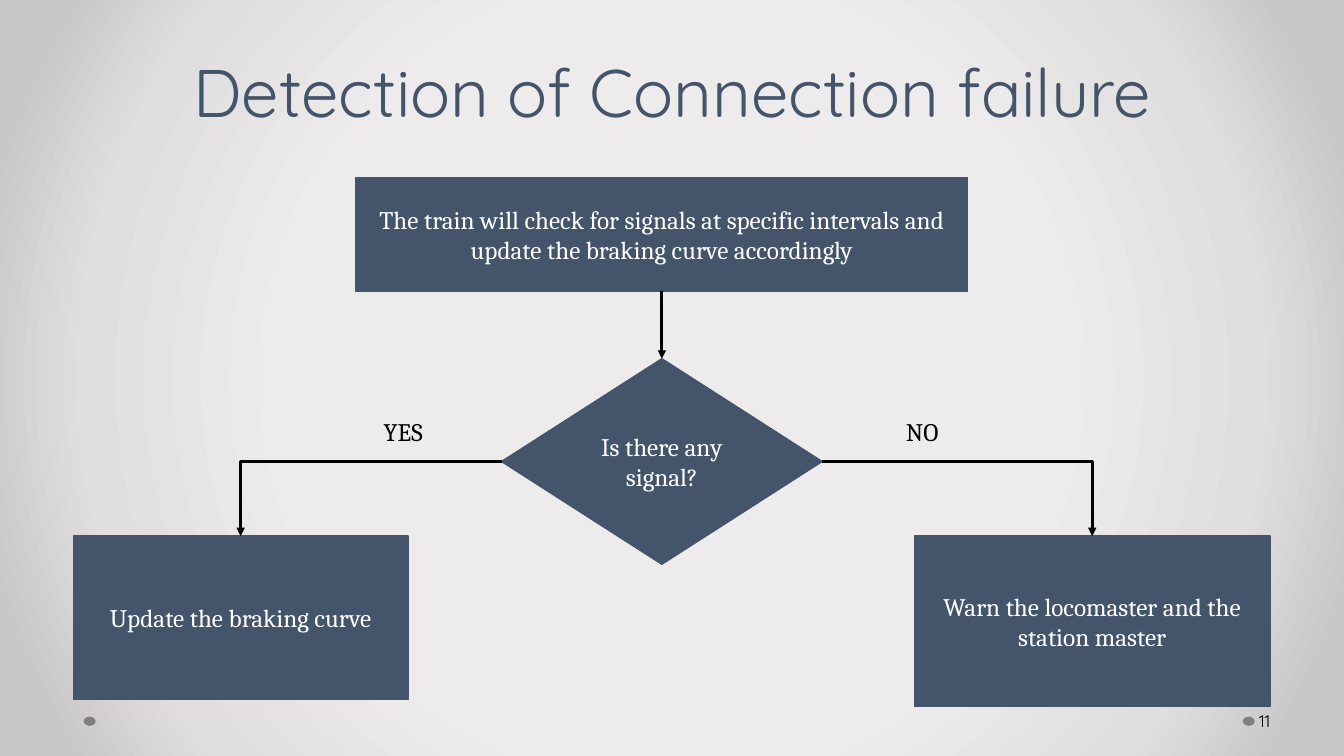
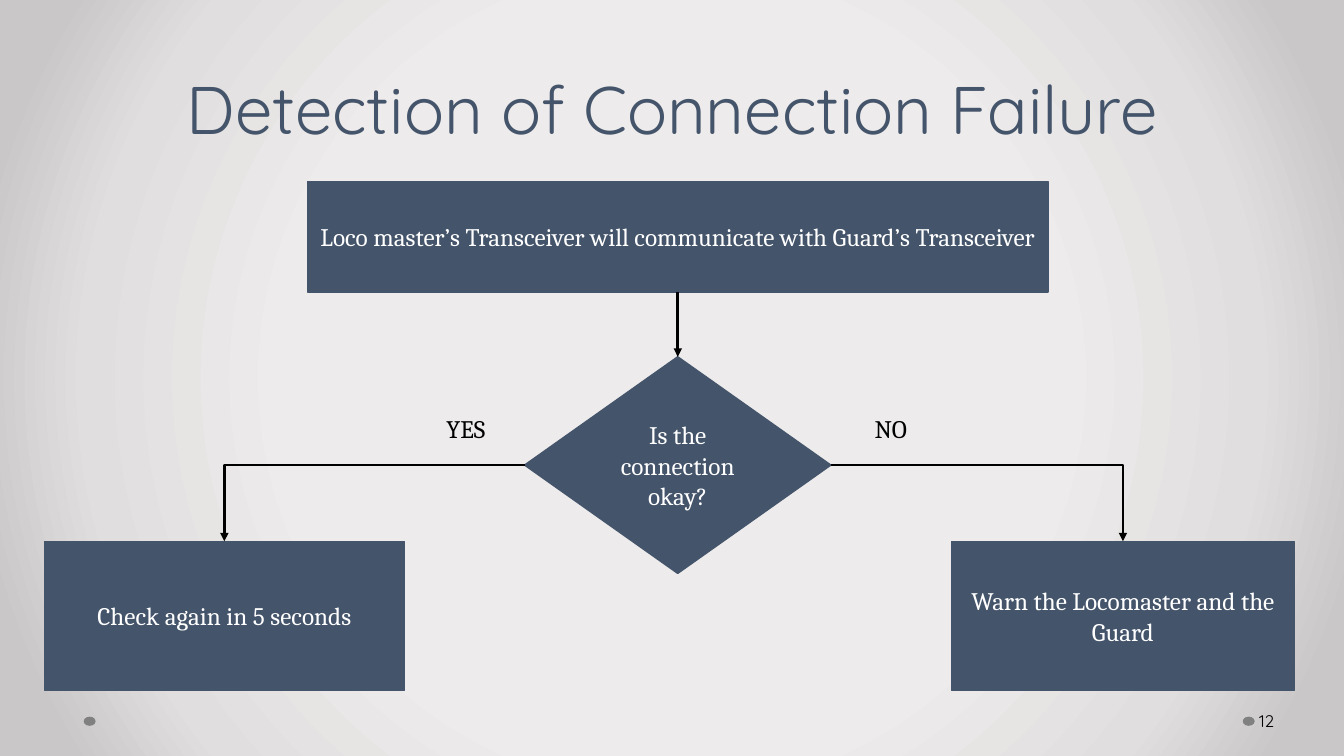
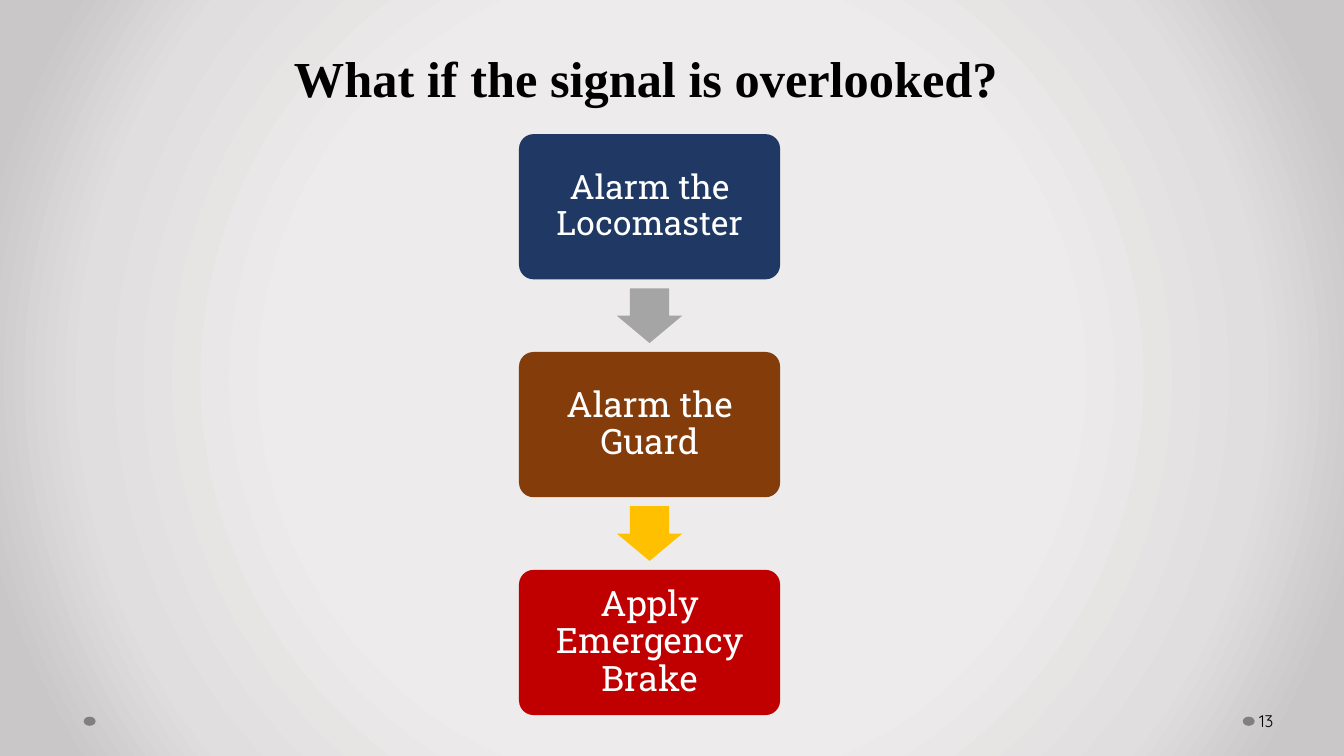
from dataclasses import dataclass
from typing import Any

import lxml.etree
import pptx
import pptx.dml.color
import pptx.enum.shapes
import pptx.enum.text
import pptx.oxml.ns
import pptx.util

Cm = pptx.util.Cm
Pt = pptx.util.Pt
RGBColor = pptx.dml.color.RGBColor
Shape = pptx.enum.shapes.MSO_SHAPE
Connector = pptx.enum.shapes.MSO_CONNECTOR
Anchor = pptx.enum.text.MSO_ANCHOR
Align = pptx.enum.text.PP_ALIGN
qn = pptx.oxml.ns.qn

SLATE = RGBColor(0x44, 0x54, 0x6A)
WHITE = RGBColor(0xFF, 0xFF, 0xFF)
BLACK = RGBColor(0x00, 0x00, 0x00)
DOT_GREY = RGBColor(0x80, 0x80, 0x80)
NAVY = RGBColor(0x20, 0x38, 0x64)
BROWN = RGBColor(0x84, 0x3C, 0x0B)
RED = RGBColor(0xC0, 0x00, 0x00)
ARROW_GREY = RGBColor(0xA5, 0xA5, 0xA5)
AMBER = RGBColor(0xFF, 0xC0, 0x00)
BACKGROUND_STOPS = (
    (50, RGBColor(0xED, 0xEB, 0xEB)),
    (76, RGBColor(0xE0, 0xDE, 0xDE)),
    (92, RGBColor(0xC9, 0xC7, 0xC7)),
)

HEADING_FONT = "Quicksand"
FLOW_FONT = "Cambria"
TOP, LEFT, BOTTOM, RIGHT = range(4)


@dataclass(frozen=True)
class Box:
    """A place on the slide, in centimetres."""

    left: float
    top: float
    width: float
    height: float

    def lengths(self) -> tuple[Any, ...]:
        return tuple(Cm(v) for v in (self.left, self.top, self.width, self.height))


@dataclass(frozen=True)
class TextStyle:
    font: str
    size: float
    color: RGBColor
    bold: bool = False
    align: Any = Align.LEFT
    line_spacing: Any = None


@dataclass(frozen=True)
class Item:
    text: str
    box: Box


@dataclass(frozen=True)
class Decision:
    title: str
    title_height: float
    number: int
    start: Item
    question: Item
    yes: Item
    no: Item
    yes_label: Box
    no_label: Box


@dataclass(frozen=True)
class Alarm:
    text: str
    size: float
    color: RGBColor


TITLE = TextStyle(HEADING_FONT, 48, SLATE, align=Align.CENTER, line_spacing=Pt(48))
PAGE_NUMBER = TextStyle(HEADING_FONT, 12, BLACK)
STEP = TextStyle(FLOW_FONT, 18, WHITE, align=Align.CENTER)
LABEL = TextStyle(FLOW_FONT, 18, BLACK)
QUESTION_TITLE = TextStyle("Times New Roman", 36, BLACK, bold=True)

DECISIONS = (
    Decision(
        "Detection of Connection failure", 3.43, 11,
        start=Item("The train will check for signals at specific intervals "
                   "and update the braking curve accordingly",
                   Box(8.97, 4.47, 15.42, 2.87)),
        question=Item("Is there any signal?", Box(12.64, 9.04, 8.08, 5.18)),
        yes=Item("Update the braking curve", Box(1.85, 13.51, 8.43, 4.11)),
        no=Item("Warn the locomaster and the station master",
                Box(23.04, 13.51, 8.97, 4.29)),
        yes_label=Box(9.42, 10.36, 2.13, 1.02),
        no_label=Box(22.58, 10.36, 2.36, 1.02),
    ),
    Decision(
        "Detection of Connection Failure", 3.86, 12,
        start=Item("Loco master’s Transceiver will communicate with Guard’s Transceiver",
                   Box(7.75, 4.57, 18.66, 2.79)),
        question=Item("Is the connection okay?", Box(13.22, 8.99, 7.72, 5.46)),
        yes=Item("Check again in 5 seconds", Box(1.12, 13.64, 9.07, 3.76)),
        no=Item("Warn the Locomaster and the Guard", Box(23.98, 13.64, 8.64, 3.76)),
        yes_label=Box(11, 10.29, 2.36, 1.02),
        no_label=Box(21.79, 10.29, 1.93, 1.02),
    ),
)

ALARMS = (
    Alarm("Alarm the Locomaster", 24, NAVY),
    Alarm("Alarm the Guard", 25, BROWN),
    Alarm("Apply Emergency Brake", 25, RED),
)
ALARM_ARROWS = (ARROW_GREY, AMBER)
FIRST_ALARM = Box(13.08, 3.38, 6.58, 3.66)
ALARM_PITCH = 5.49
ARROW_WIDTH, ARROW_HEIGHT = 1.65, 1.38


def set_background(master: Any) -> None:
    """Give the master a circular gradient, which every slide inherits."""
    master.background.fill.gradient()
    gradient = master.element.find(".//" + qn("a:gradFill"))
    for child in list(gradient):
        gradient.remove(child)
    stops = lxml.etree.SubElement(gradient, qn("a:gsLst"))
    for percent, color in BACKGROUND_STOPS:
        stop = lxml.etree.SubElement(stops, qn("a:gs"), pos=str(percent * 1000))
        lxml.etree.SubElement(stop, qn("a:srgbClr"), val=str(color))
    circle = lxml.etree.SubElement(gradient, qn("a:path"), path="circle")
    lxml.etree.SubElement(circle, qn("a:fillToRect"),
                          {side: "50000" for side in "ltrb"})


def write_text(shape: Any, text: str, style: TextStyle, anchor: Any) -> None:
    frame = shape.text_frame
    frame.word_wrap = True
    frame.vertical_anchor = anchor
    paragraph = frame.paragraphs[0]
    paragraph.text = text
    paragraph.alignment = style.align
    paragraph.line_spacing = style.line_spacing
    font = paragraph.font
    font.name = style.font
    font.size = Pt(style.size)
    font.bold = style.bold
    font.color.rgb = style.color


def add_text(slide: Any, text: str, box: Box, style: TextStyle,
             anchor: Any = Anchor.TOP) -> Any:
    text_box = slide.shapes.add_textbox(*box.lengths())
    write_text(text_box, text, style, anchor)
    return text_box


def add_filled(slide: Any, preset: Any, box: Box, color: RGBColor) -> Any:
    """Add a preset shape with a plain fill, no outline and no shadow."""
    shape = slide.shapes.add_shape(preset, *box.lengths())
    shape.shadow.inherit = False
    shape.fill.solid()
    shape.fill.fore_color.rgb = color
    shape.line.fill.background()
    return shape


def add_step(slide: Any, preset: Any, item: Item) -> Any:
    step = add_filled(slide, preset, item.box, SLATE)
    step.line.color.rgb = SLATE
    step.line.width = Pt(1)
    write_text(step, item.text, STEP, Anchor.MIDDLE)
    return step


def add_arrow(slide: Any, kind: Any, source: Any, side: int, target: Any) -> None:
    """Join a side of the source to the top of the target."""
    arrow = slide.shapes.add_connector(kind, 0, 0, 0, 0)
    arrow.begin_connect(source, side)
    arrow.end_connect(target, TOP)
    arrow.line.color.rgb = BLACK
    arrow.line.width = Pt(2)
    properties = arrow.element.spPr
    if kind == Connector.ELBOW:
        properties.find(qn("a:prstGeom")).set("prst", "bentConnector2")
    lxml.etree.SubElement(properties.find(qn("a:ln")), qn("a:tailEnd"), type="triangle")
    lxml.etree.SubElement(properties, qn("a:effectLst"))


def add_slide(prs: Any, number: int) -> Any:
    """Add a blank slide with the footer dots and the page number."""
    slide = prs.slides.add_slide(prs.slide_layouts[6])
    for left in (31.32, 2.11):
        add_filled(slide, Shape.OVAL, Box(left, 18.06, 0.3, 0.23), DOT_GREY)
    page_number = add_text(slide, str(number), Box(31.65, 17.65, 2.08, 1.02),
                           PAGE_NUMBER, Anchor.MIDDLE)
    page_number.text_frame.margin_left = Cm(0.08)
    page_number.text_frame.margin_right = Cm(0.13)
    return slide


def add_decision_slide(prs: Any, decision: Decision) -> None:
    slide = add_slide(prs, decision.number)
    add_text(slide, decision.title, Box(1.7, 0, 30.48, decision.title_height),
             TITLE, Anchor.BOTTOM)
    start = add_step(slide, Shape.FLOWCHART_PROCESS, decision.start)
    question = add_step(slide, Shape.FLOWCHART_DECISION, decision.question)
    no = add_step(slide, Shape.FLOWCHART_PROCESS, decision.no)
    yes = add_step(slide, Shape.FLOWCHART_PROCESS, decision.yes)
    add_arrow(slide, Connector.ELBOW, question, RIGHT, no)
    add_arrow(slide, Connector.ELBOW, question, LEFT, yes)
    add_arrow(slide, Connector.STRAIGHT, start, BOTTOM, question)
    add_text(slide, "NO", decision.no_label, LABEL)
    add_text(slide, "YES", decision.yes_label, LABEL)


def add_alarm_slide(prs: Any) -> None:
    slide = add_slide(prs, 13)
    add_text(slide, "What if the signal is overlooked?",
             Box(7.16, 1.07, 21.16, 1.8), QUESTION_TITLE)
    first = FIRST_ALARM
    for row, alarm in enumerate(ALARMS):
        box = Box(first.left, first.top + row * ALARM_PITCH, first.width, first.height)
        card = add_filled(slide, Shape.ROUNDED_RECTANGLE, box, alarm.color)
        card.adjustments[0] = 0.1
        style = TextStyle("Roboto Slab", alarm.size, WHITE,
                          align=Align.CENTER, line_spacing=0.9)
        write_text(card, alarm.text, style, Anchor.MIDDLE)
        frame = card.text_frame
        frame.margin_top = frame.margin_bottom = Cm(0.25)

    arrow_left = first.left + (first.width - ARROW_WIDTH) / 2
    arrow_top = first.top + (first.height + ALARM_PITCH - ARROW_HEIGHT) / 2
    for row, color in enumerate(ALARM_ARROWS):
        box = Box(arrow_left, arrow_top + row * ALARM_PITCH, ARROW_WIDTH, ARROW_HEIGHT)
        arrow = add_filled(slide, Shape.DOWN_ARROW, box, color)
        arrow.adjustments[0] = 0.6
        arrow.adjustments[1] = 0.5


def main() -> None:
    prs = pptx.Presentation()
    prs.slide_width = Cm(33.87)
    prs.slide_height = Cm(19.05)
    set_background(prs.slide_master)
    for decision in DECISIONS:
        add_decision_slide(prs, decision)
    add_alarm_slide(prs)
    prs.save("out.pptx")


if __name__ == "__main__":
    main()
